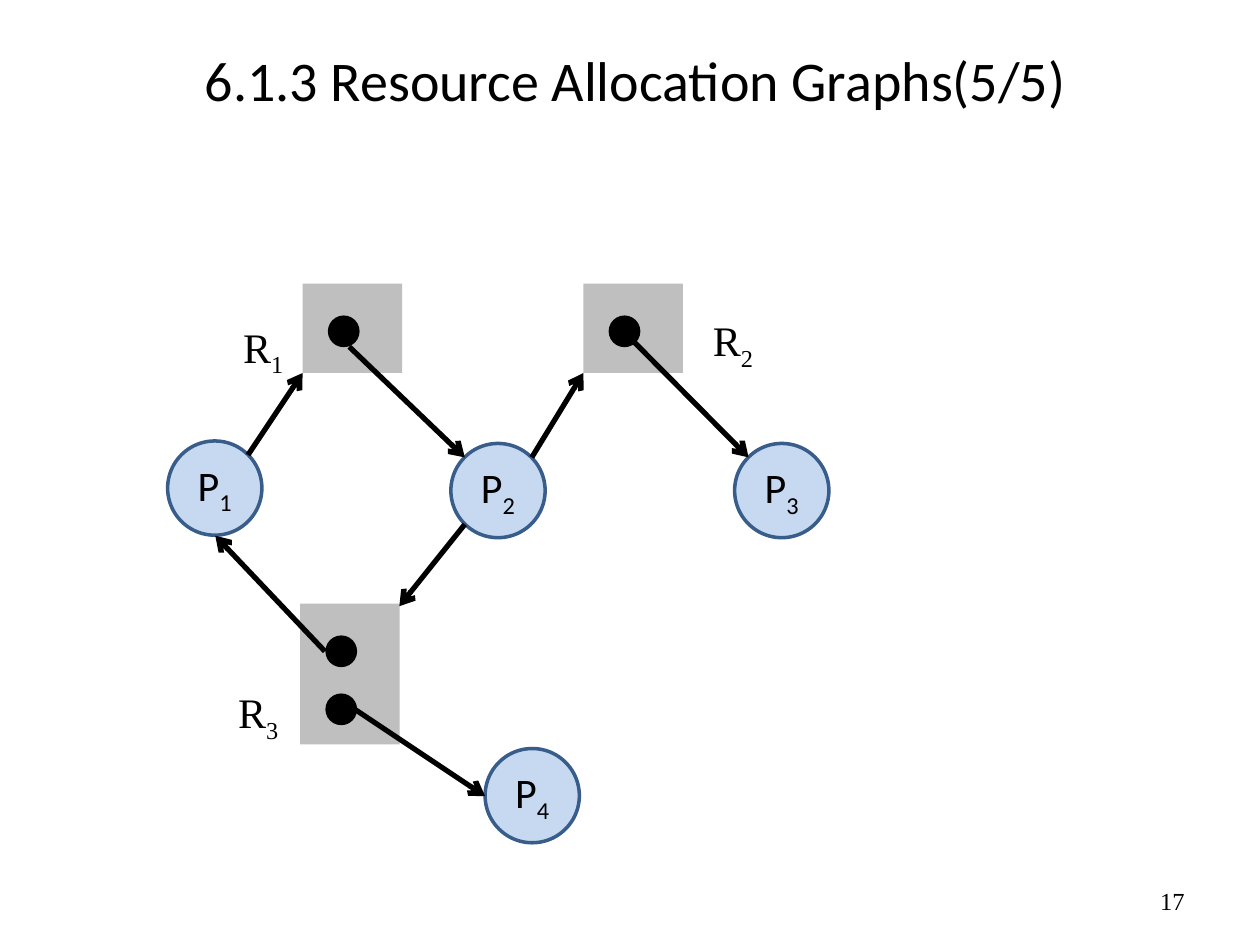
from dataclasses import dataclass

from lxml.etree import SubElement
from pptx import Presentation
from pptx.dml.color import RGBColor
from pptx.enum.shapes import MSO_CONNECTOR, MSO_SHAPE
from pptx.enum.text import MSO_ANCHOR, MSO_AUTO_SIZE, PP_ALIGN
from pptx.oxml.ns import qn
from pptx.util import Cm, Pt


@dataclass(frozen=True)
class Theme:
    ink: str = "000000"
    resource: str = "BFBFBF"
    process: str = "C6D9F1"
    border: str = "385D8A"
    sans: str = "Calibri"
    serif: str = "Times New Roman"
    title_size: int = 32
    label_size: int = 24
    number_size: int = 14
    border_width: int = 2
    edge_width: int = 3


def rgb(value):
    return RGBColor.from_string(value)


def write(tf, text, sub="", font="Calibri", size=24, color="000000",
          align=PP_ALIGN.LEFT, anchor=MSO_ANCHOR.TOP):
    tf.vertical_anchor = anchor
    p = tf.paragraphs[0]
    p.alignment = align
    for part in filter(None, (text, sub)):
        r = p.add_run()
        r.text = part
        r.font.name = font
        r.font.size = Pt(size)
        r.font.color.rgb = rgb(color)
    if sub:
        r.font._element.set("baseline", "-25000")


class GraphSlide:
    DOT = 0.64
    DOT_LEFT, DOT_TOP, DOT_STEP = 0.51, 0.64, 1.17
    RESOURCE_WIDTH = 2.01
    PROCESS = 1.9

    def __init__(self, s, theme):
        self.s = s
        self.theme = theme

    def title(self, text, x, y, w, h):
        sp = self.s.shapes.title
        sp.left, sp.top, sp.width, sp.height = Cm(x), Cm(y), Cm(w), Cm(h)
        t = self.theme
        write(sp.text_frame, text, font=t.sans, size=t.title_size, color=t.ink,
              align=PP_ALIGN.CENTER, anchor=MSO_ANCHOR.MIDDLE)

    def number(self, text, x, y, w, h):
        tf = self.s.shapes.add_textbox(Cm(x), Cm(y), Cm(w), Cm(h)).text_frame
        tf.word_wrap = True
        t = self.theme
        write(tf, text, font=t.serif, size=t.number_size, color=t.ink,
              align=PP_ALIGN.RIGHT, anchor=MSO_ANCHOR.MIDDLE)

    def shape(self, kind, x, y, w, h, fill):
        sp = self.s.shapes.add_shape(kind, Cm(x), Cm(y), Cm(w), Cm(h))
        sp.shadow.inherit = False
        sp.fill.solid()
        sp.fill.fore_color.rgb = rgb(fill)
        sp.line.fill.background()
        return sp

    def resource(self, x, y, h, units):
        t = self.theme
        self.shape(MSO_SHAPE.RECTANGLE, x, y, self.RESOURCE_WIDTH, h, t.resource)
        for i in range(units):
            self.shape(MSO_SHAPE.OVAL, x + self.DOT_LEFT,
                       y + self.DOT_TOP + i * self.DOT_STEP,
                       self.DOT, self.DOT, t.ink)

    def process(self, sub, x, y):
        t = self.theme
        sp = self.shape(MSO_SHAPE.OVAL, x, y, self.PROCESS, self.PROCESS, t.process)
        sp.line.color.rgb = rgb(t.border)
        sp.line.width = Pt(t.border_width)
        write(sp.text_frame, "P", sub, font=t.sans, size=t.label_size,
              color=t.ink, align=PP_ALIGN.CENTER, anchor=MSO_ANCHOR.MIDDLE)

    def label(self, sub, x, y):
        tf = self.s.shapes.add_textbox(Cm(x), Cm(y), Cm(1.38), Cm(1.42)).text_frame
        tf.word_wrap = False
        tf.auto_size = MSO_AUTO_SIZE.SHAPE_TO_FIT_TEXT
        t = self.theme
        write(tf, "R", sub, font=t.serif, size=t.label_size, color=t.ink)

    def edge(self, x1, y1, x2, y2):
        c = self.s.shapes.add_connector(MSO_CONNECTOR.STRAIGHT,
                                        Cm(x1), Cm(y1), Cm(x2), Cm(y2))
        c.line.color.rgb = rgb(self.theme.ink)
        c.line.width = Pt(self.theme.edge_width)
        SubElement(c.line._get_or_add_ln(), qn("a:tailEnd"), type="arrow")
        SubElement(c._element.spPr, qn("a:effectLst"))


def main():
    prs = Presentation()
    prs.slide_width, prs.slide_height = Cm(25.4), Cm(19.05)
    s = prs.slides.add_slide(prs.slide_layouts[5])
    graph = GraphSlide(s, Theme())

    graph.title("6.1.3 Resource Allocation Graphs(5/5)", 0.43, 0.43, 24.77, 2.34)
    graph.number("17", 18.21, 17.65, 5.92, 1.02)

    for x, y, h, units in [(6.1, 5.72, 1.8, 1), (11.76, 5.72, 1.8, 1),
                           (6.05, 12.17, 2.84, 2)]:
        graph.resource(x, y, h, units)

    for sub, x, y in [("1", 3.38, 8.89), ("2", 9.09, 8.94),
                      ("3", 14.81, 8.94), ("4", 9.78, 15.09)]:
        graph.process(sub, x, y)

    for sub, x, y in [("1", 4.65, 6.35), ("2", 14.12, 6.22), ("3", 4.55, 13.72)]:
        graph.label(sub, x, y)

    for ends in [(5, 9.17, 6.1, 7.52), (7.04, 6.99, 9.37, 9.22),
                 (6.55, 13.13, 4.34, 10.8), (6.93, 14.15, 9.78, 16.05),
                 (10.72, 9.22, 11.76, 7.52), (12.65, 6.76, 15.09, 9.22),
                 (9.37, 10.57, 8.05, 12.22)]:
        graph.edge(*ends)

    prs.save("out.pptx")


if __name__ == "__main__":
    main()
